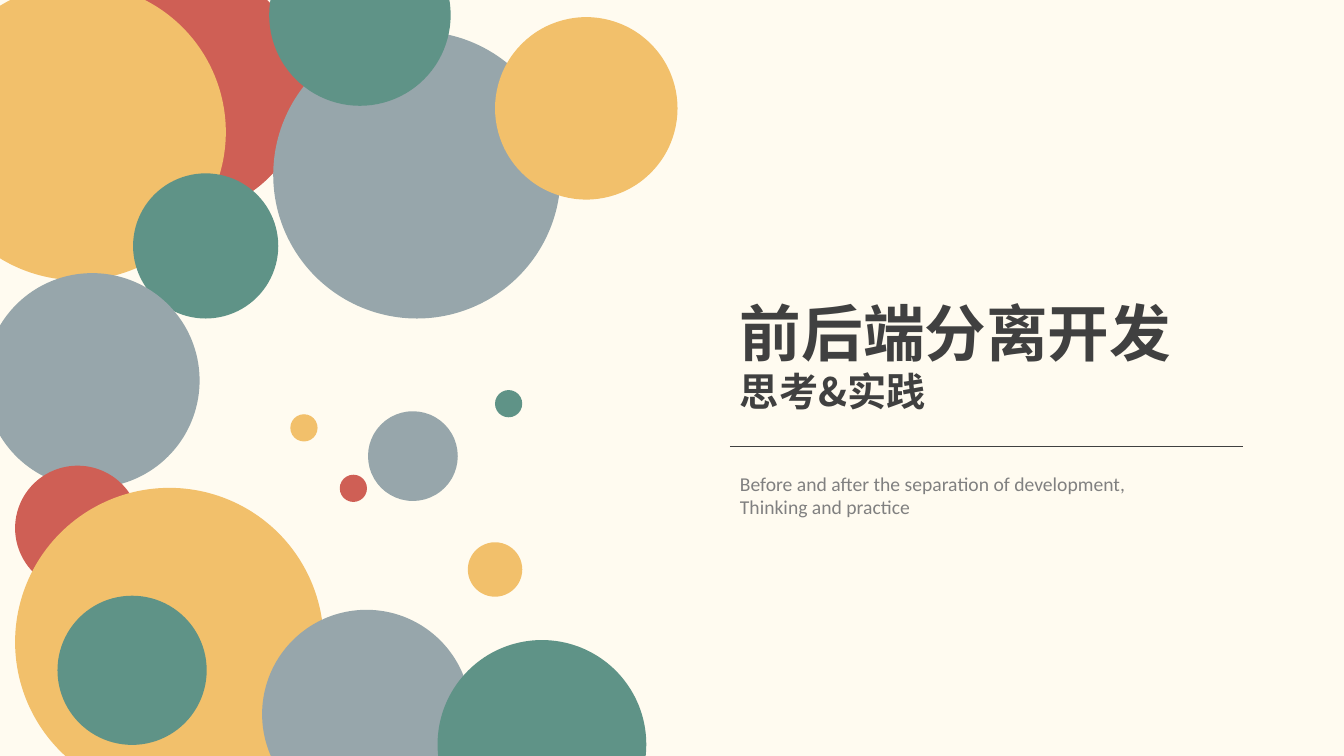
from lxml.etree import SubElement as Sub
from pptx import Presentation
from pptx.dml.color import RGBColor as Rgb
from pptx.enum.shapes import MSO_CONNECTOR as Connector, MSO_SHAPE as Shape
from pptx.enum.text import MSO_AUTO_SIZE as AutoSize
from pptx.oxml.ns import qn
from pptx.util import Inches, Pt

COLORS = {
    "cream": "FFFBF0", "red": "CF5F55", "yellow": "F2C06B", "green": "5F9387",
    "gray": "97A6AB", "ink": "404040", "muted": "808080",
}
BUBBLES = [
    (0.57, -0.34, 2.46, "red"),
    (-0.7, -0.16, 2.94, "yellow"),
    (1.32, 1.72, 1.44, "green"),
    (-0.15, 2.71, 2.13, "gray"),
    (2.71, 0.31, 2.85, "gray"),
    (2.67, -0.75, 1.8, "green"),
    (0.15, 4.62, 1.24, "red"),
    (0.15, 4.84, 3.06, "yellow"),
    (0.57, 5.91, 1.48, "green"),
    (2.6, 6.05, 2.07, "gray"),
    (4.34, 6.35, 2.07, "green"),
    (3.65, 4.08, 0.89, "gray"),
    (3.37, 4.71, 0.27, "red"),
    (2.88, 4.11, 0.27, "yellow"),
    (4.91, 3.87, 0.27, "green"),
    (4.64, 5.38, 0.54, "yellow"),
    (4.91, 0.17, 1.81, "yellow"),
]
HEADING_FONT = "Noto Sans CJK SC"
BODY_FONT = "Calibri"
TEXT_LEFT = 7.24


class CoverSlide:
    """Draws the cover's elements in one shared style."""

    def __init__(self, slide):
        self.slide = slide
        self.shapes = slide.shapes

    def color(self, name):
        return Rgb.from_string(COLORS[name])

    def background(self, color):
        fill = self.slide.background.fill
        fill.solid()
        fill.fore_color.rgb = self.color(color)

    def bubble(self, left, top, diameter, color):
        bubble = self.shapes.add_shape(
            Shape.OVAL, Inches(left), Inches(top), Inches(diameter), Inches(diameter))
        bubble.shadow.inherit = False
        bubble.fill.solid()
        bubble.fill.fore_color.rgb = self.color(color)
        bubble.line.fill.background()

    def rule(self, left, right, y, color):
        rule = self.shapes.add_connector(
            Connector.STRAIGHT, Inches(left), Inches(y), Inches(right), Inches(y))
        rule.line.color.rgb = self.color(color)
        rule.line.width = Pt(0.5)
        Sub(rule._element.spPr, qn("a:effectLst"))

    def text(self, left, top, width, height, lines, font, color, bold=False):
        box = self.shapes.add_textbox(
            Inches(left), Inches(top), Inches(width), Inches(height))
        frame = box.text_frame
        frame.word_wrap = True
        frame.auto_size = AutoSize.SHAPE_TO_FIT_TEXT
        for index, (words, size, spacing) in enumerate(lines):
            paragraph = frame.add_paragraph() if index else frame.paragraphs[0]
            paragraph.line_spacing = spacing
            run = paragraph.add_run()
            run.text = words
            run.font.name = font
            run.font.size = Pt(size)
            run.font.bold = bold
            run.font.color.rgb = self.color(color)
            Sub(run.font._element, qn("a:ea"), typeface=font)


def main():
    deck = Presentation()
    deck.slide_width = Inches(13.33)
    deck.slide_height = Inches(7.5)
    cover = CoverSlide(deck.slides.add_slide(deck.slide_layouts[6]))
    cover.background("cream")
    for bubble in BUBBLES:
        cover.bubble(*bubble)
    title = [("前后端分离开发", 44, Pt(56)), ("思考&实践", 28, Pt(33))]
    cover.text(TEXT_LEFT, 2.83, 5.6, 1.31, title, HEADING_FONT, "ink", bold=True)
    cover.rule(TEXT_LEFT, 12.33, 4.43, "ink")
    summary = [("Before and after the separation of development, Thinking and practice", 14, 1.0)]
    cover.text(TEXT_LEFT, 4.63, 4.72, 0.57, summary, BODY_FONT, "muted")
    deck.save("out.pptx")


if __name__ == "__main__":
    main()
